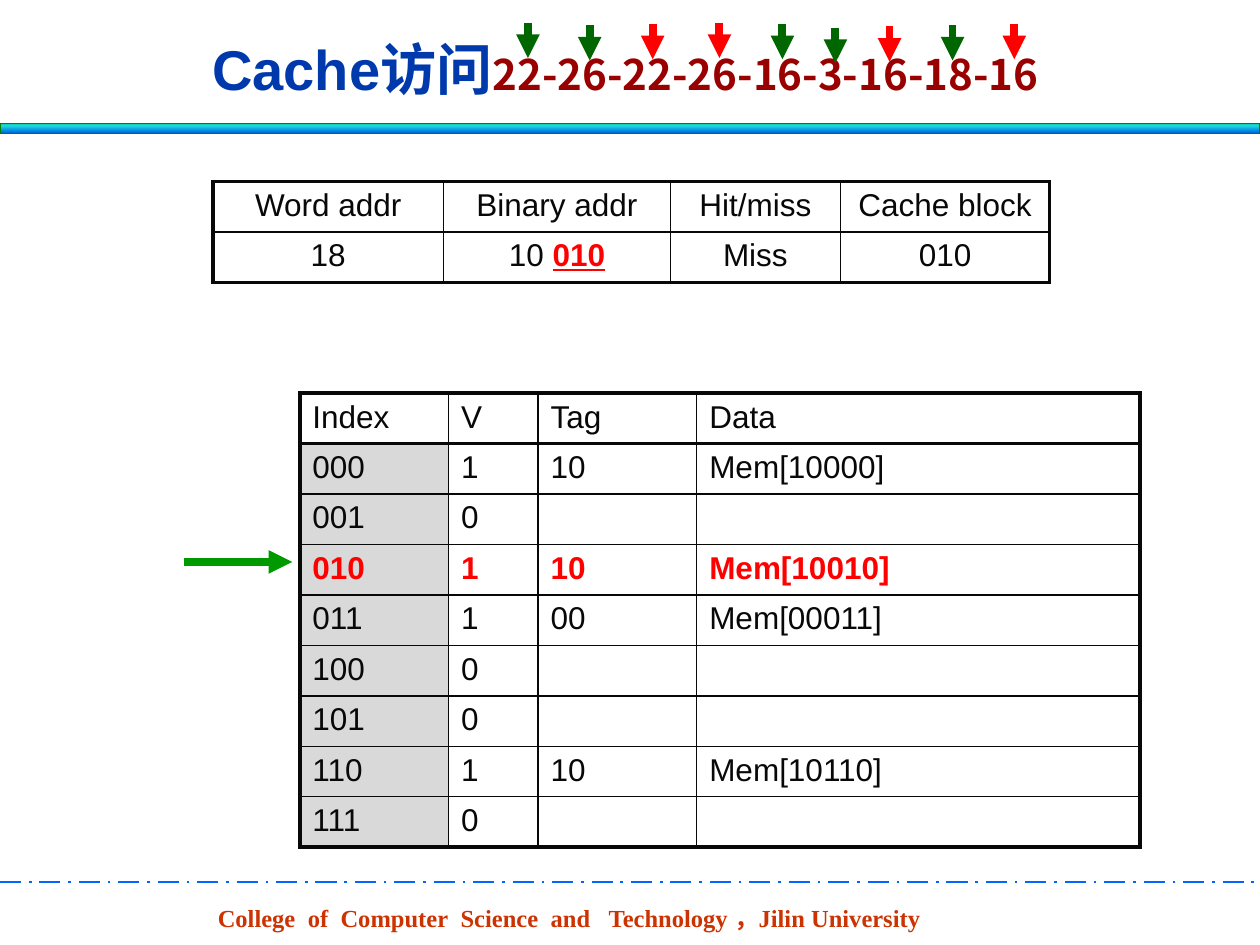
from dataclasses import dataclass

from lxml import etree
from pptx import Presentation
from pptx import util as u
from pptx.dml.color import RGBColor
from pptx.enum import dml, shapes, text
from pptx.oxml import ns


@dataclass(frozen=True)
class Theme:
    latin: str = "Arial"
    cjk: str = "Noto Sans CJK SC"
    serif: str = "Times New Roman"
    title_size: float = 32
    sequence_size: float = 24
    table_size: float = 18
    footer_size: float = 14
    title: str = "0039AC"
    sequence: str = "990000"
    ink: str = "080808"
    accent: str = "FF0000"
    index_fill: str = "D9D9D9"
    miss: str = "006600"
    hit: str = "FF0000"
    pointer: str = "009900"
    footer: str = "CC3300"
    rule: str = "0066FF"
    bar_line: str = "008000"
    bar: tuple = ((0, "03D4A8"), (25, "21D6E0"), (75, "0087E6"), (100, "005CBF"))
    outer: float = 2.25
    header: float = 1.5
    inner: float = 1
    arrow: float = 4.5


THEME = Theme()
COLUMNS, ROWS = 100, 75
UNIT = u.Inches(0.1)

ACCESSES = [
    (41.9, 1.8, THEME.miss), (46.8, 2.0, THEME.miss), (51.8, 1.9, THEME.hit),
    (57.1, 1.8, THEME.hit), (62.1, 1.9, THEME.miss), (66.3, 2.2, THEME.miss),
    (70.6, 2.1, THEME.hit), (75.6, 2.0, THEME.miss), (80.5, 1.9, THEME.hit),
]
ACCESS_LENGTH = 2.8

REQUEST = [
    ["Word addr", "Binary addr", "Hit/miss", "Cache block"],
    ["18", "10 |010", "Miss", "010"],
]
CACHE = [
    ["Index", "V", "Tag", "Data"],
    ["000", "1", "10", "Mem[10000]"],
    ["001", "0", "", ""],
    ["010", "1", "10", "Mem[10010]"],
    ["011", "1", "00", "Mem[00011]"],
    ["100", "0", "", ""],
    ["101", "0", "", ""],
    ["110", "1", "10", "Mem[10110]"],
    ["111", "0", "", ""],
]
CHANGED_ROW = 3
FOOTER = [("College", 1), ("of", 1), ("Computer", 1), ("Science", 1), ("and", 2),
          ("Technology ，Jilin University", 0)]


def grid(*counts):
    return [u.Emu(round(count * UNIT)) for count in counts]


def color(value):
    return RGBColor.from_string(value)


def add_node(parent, tag, **attributes):
    return etree.SubElement(parent, ns.qn(tag), **attributes)


def add_run(paragraph, words, size, font, ink, bold=False, underline=False):
    run = paragraph.add_run()
    run.text = words
    run.font.size = u.Pt(size)
    run.font.name = font
    run.font.bold = bold
    run.font.underline = underline
    run.font.color.rgb = color(ink)
    add_node(run.font._element, "a:ea", typeface=THEME.cjk)
    return run


def add_text_box(slide, area, anchor, alignment):
    frame = slide.shapes.add_textbox(*grid(*area)).text_frame
    frame.word_wrap = True
    frame.vertical_anchor = anchor
    paragraph = frame.paragraphs[0]
    paragraph.alignment = alignment
    return paragraph


def add_line(slide, start, end, ink, width):
    connector = slide.shapes.add_connector(
        shapes.MSO_CONNECTOR.STRAIGHT, *grid(*start, *end))
    connector.line.color.rgb = color(ink)
    connector.line.width = u.Pt(width)
    add_node(connector._element.spPr, "a:effectLst")
    return connector


def add_arrow(slide, start, end, ink):
    connector = add_line(slide, start, end, ink, THEME.arrow)
    add_node(connector.line._get_or_add_ln(), "a:tailEnd", type="triangle")


def add_gradient_bar(slide, area):
    bar = slide.shapes.add_shape(shapes.MSO_SHAPE.RECTANGLE, *grid(*area))
    bar.shadow.inherit = False
    bar.line.color.rgb = color(THEME.bar_line)
    bar.line.width = u.Pt(0.75)
    bar.fill.gradient()
    bar.fill.gradient_angle = 270
    stops = bar._element.spPr.find(".//" + ns.qn("a:gsLst"))
    for stop in list(stops):
        stops.remove(stop)
    for percent, ink in THEME.bar:
        stop = add_node(stops, "a:gs", pos=str(percent * 1000))
        add_node(stop, "a:srgbClr", val=ink)


def set_borders(cell, widths):
    properties = cell._tc.get_or_add_tcPr()
    for side, width in zip(("L", "R", "T", "B"), widths):
        line = add_node(properties, "a:ln" + side, w=str(u.Pt(width)))
        add_node(add_node(line, "a:solidFill"), "a:srgbClr", val=THEME.ink)


def fill_cell(cell, words, alignment, highlight):
    paragraph = cell.text_frame.paragraphs[0]
    paragraph.alignment = alignment
    plain, _, marked = words.partition("|")
    if plain:
        add_run(paragraph, plain, THEME.table_size, THEME.latin,
                THEME.accent if highlight else THEME.ink, highlight)
    else:
        end = add_node(paragraph._p, "a:endParaRPr", sz=str(THEME.table_size * 100))
        add_node(end, "a:latin", typeface=THEME.latin)
    if marked:
        add_run(paragraph, marked, THEME.table_size, THEME.latin,
                THEME.accent, True, True)


def add_grid_table(slide, corner, widths, rows, alignment,
                   changed_row=None, shade_index=False):
    row_height = 4
    area = (*corner, sum(widths), row_height * len(rows))
    table = slide.shapes.add_table(len(rows), len(widths), *grid(*area)).table
    table.first_row = table.horz_banding = False
    for column, width in zip(table.columns, grid(*widths)):
        column.width = width
    last_row, last_column = len(rows) - 1, len(widths) - 1
    horizontal = [THEME.outer, THEME.header] + [THEME.inner] * (last_row - 1) + [THEME.outer]
    vertical = [THEME.outer] + [THEME.inner] * last_column + [THEME.outer]
    for r, row in enumerate(rows):
        for c, words in enumerate(row):
            cell = table.cell(r, c)
            set_borders(cell, vertical[c:c + 2] + horizontal[r:r + 2])
            if shade_index and r and not c:
                cell.fill.solid()
                cell.fill.fore_color.rgb = color(THEME.index_fill)
            else:
                cell.fill.background()
            fill_cell(cell, words, alignment, r == changed_row)


def add_title(slide):
    paragraph = add_text_box(slide, (11.4, 2.1, 77.2, 6.6),
                             text.MSO_ANCHOR.MIDDLE, text.PP_ALIGN.CENTER)
    add_run(paragraph, "Cache访问", THEME.title_size, THEME.latin, THEME.title, True)
    add_run(paragraph, "22-26-22-26-16-3-16-18-16 ", THEME.sequence_size,
            THEME.cjk, THEME.sequence, True)


def add_footer(slide):
    rule = add_line(slide, (0, 70), (COLUMNS, 70), THEME.rule, 1.5)
    rule.line.dash_style = dml.MSO_LINE.LONG_DASH_DOT
    paragraph = add_text_box(slide, (16.3, 71.2, 59.2, 3.3),
                             text.MSO_ANCHOR.TOP, text.PP_ALIGN.LEFT)
    style = (THEME.footer_size, THEME.serif, THEME.footer, True)
    space_width = THEME.footer_size / 4
    for words, extra in FOOTER:
        add_run(paragraph, words, *style)
        if extra:
            gap = add_run(paragraph, " ", *style)
            gap.font._element.set("spc", str(round(extra * space_width * 100)))


def main():
    presentation = Presentation()
    presentation.slide_width, presentation.slide_height = grid(COLUMNS, ROWS)
    slide = presentation.slides.add_slide(presentation.slide_layouts[6])
    add_footer(slide)
    add_gradient_bar(slide, (0, 9.8, COLUMNS, 0.8))
    add_title(slide)
    add_grid_table(slide, (23.8, 31.2), (11.8, 7.1, 12.6, 35.2), CACHE,
                   text.PP_ALIGN.LEFT, CHANGED_ROW, True)
    add_grid_table(slide, (16.9, 14.4), (18.3, 18, 13.5, 16.6), REQUEST,
                   text.PP_ALIGN.CENTER)
    for x, top, ink in ACCESSES:
        add_arrow(slide, (x, top), (x, top + ACCESS_LENGTH), ink)
    add_arrow(slide, (14.6, 44.6), (23.2, 44.6), THEME.pointer)
    presentation.save("out.pptx")


if __name__ == "__main__":
    main()
